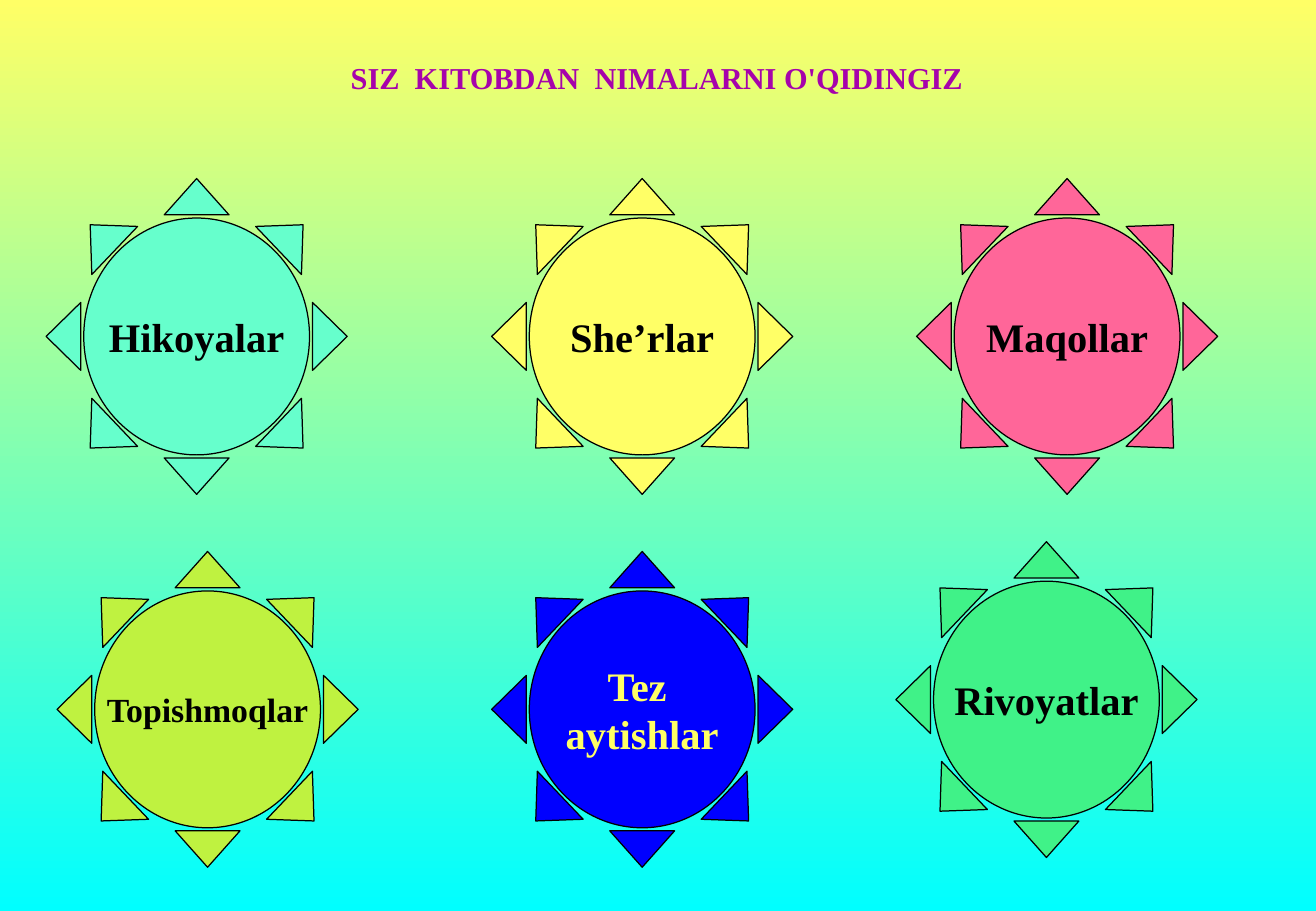
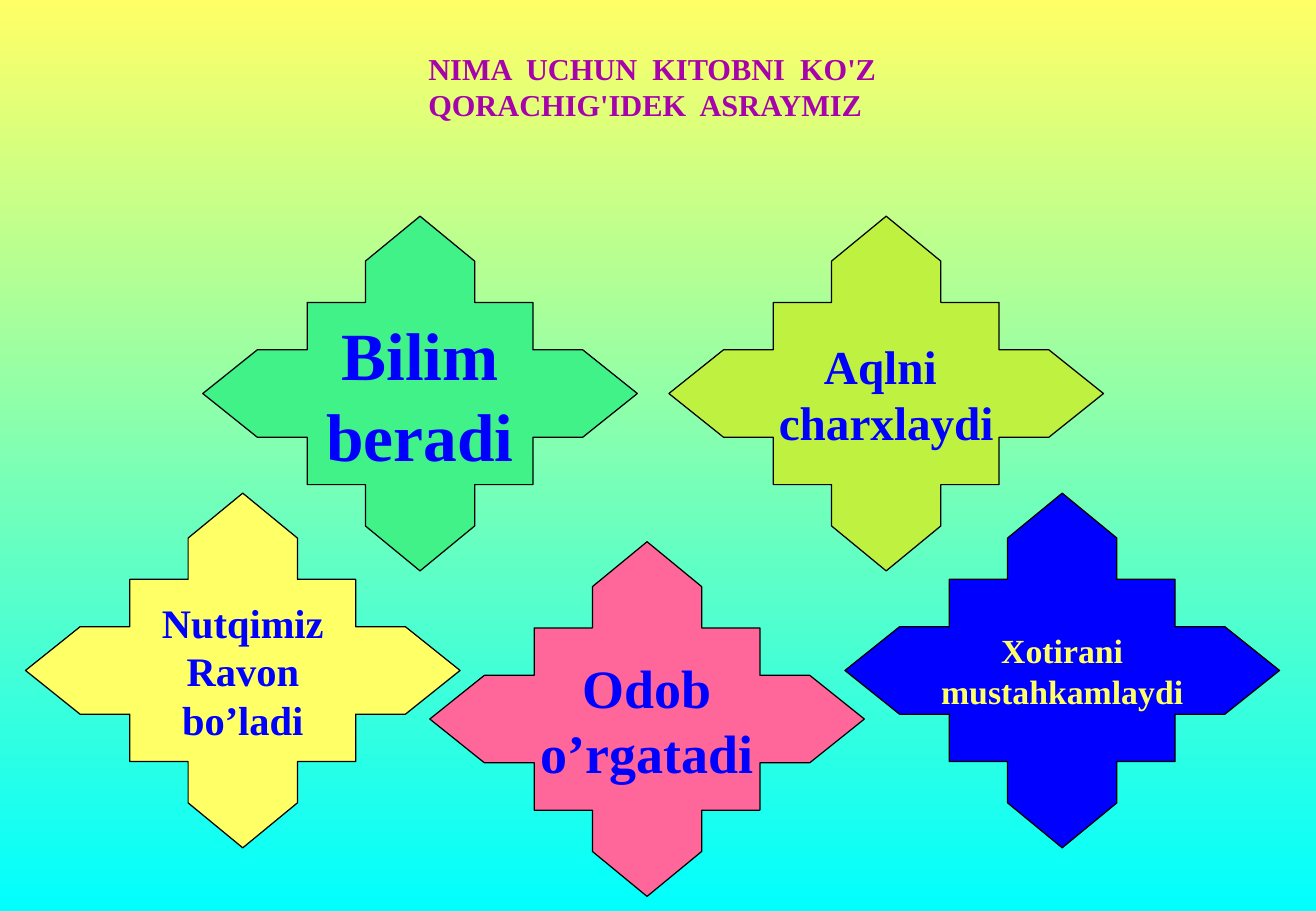
"""Build two slides of labelled suns and crosses on one shared gradient."""
from pptx import Presentation
from pptx.dml.color import RGBColor
from pptx.enum.shapes import MSO_SHAPE
from pptx.enum.text import MSO_ANCHOR, PP_ALIGN
from pptx.util import Inches, Pt

BLACK = RGBColor(0x00, 0x00, 0x00)
PURPLE = RGBColor(0xA6, 0x03, 0xAB)
YELLOW = RGBColor(0xFF, 0xFF, 0x66)
CYAN = RGBColor(0x00, 0xFF, 0xFF)
MINT = RGBColor(0x66, 0xFF, 0xCC)
GREEN = RGBColor(0x40, 0xF2, 0x88)
LIME = RGBColor(0xBF, 0xF2, 0x40)
BLUE = RGBColor(0x00, 0x00, 0xFF)
PINK = RGBColor(0xFF, 0x66, 0x99)

FONT = {"name": "Times New Roman", "bold": True}
FRAME = {"word_wrap": False,
         "margin_left": Inches(0.1), "margin_right": Inches(0.1),
         "margin_top": Inches(0.05), "margin_bottom": Inches(0.05)}

SUN_W, SUN_H = 2.48, 2.6
SUNS = [
    (0.38, 1.47, MINT, ["Hikoyalar"], 24, BLACK),
    (4.05, 1.47, YELLOW, ["She’rlar"], 24, BLACK),
    (7.38, 4.46, GREEN, ["Rivoyatlar"], 24, BLACK),
    (0.47, 4.54, LIME, ["Topishmoqlar"], 20, BLACK),
    (4.05, 4.54, BLUE, ["Tez ", "aytishlar"], 24, YELLOW),
    (7.55, 1.47, PINK, ["Maqollar"], 24, BLACK),
]

CORNER = [(0, -1.46), (0.45, -1.09), (0.45, -0.75), (0.93, -0.75),
          (0.93, -0.36), (1.34, -0.36), (1.79, 0)]
CROSSES = [
    (3.46, 3.24, GREEN, ["Bilim", "beradi"], 40, BLUE),
    (7.3, 3.24, LIME, ["Aqlni ", "charxlaydi"], 28, BLUE),
    (2.0, 5.52, YELLOW, ["Nutqimiz", "Ravon", "bo’ladi"], 24, BLUE),
    (5.33, 5.92, PINK, ["Odob", "o’rgatadi"], 32, BLUE),
    (8.75, 5.52, BLUE, ["Xotirani", "mustahkamlaydi"], 20, YELLOW),
]


def apply(target, values):
    """Set each named value on the target."""
    for name, value in values.items():
        setattr(target, name, value)


def write(shape, lines, size, color, align):
    """Put one paragraph per line into the shape."""
    frame = shape.text_frame
    apply(frame, FRAME)
    frame.text = "\n".join(lines)
    for para in frame.paragraphs:
        para.alignment = align
        font = para.runs[0].font
        apply(font, {**FONT, "size": Pt(size)})
        font.color.rgb = color


def paint(shape, fill, lines, size, color):
    """Fill, outline and label a shape."""
    shape.shadow.inherit = False
    shape.fill.solid()
    shape.fill.fore_color.rgb = fill
    shape.line.color.rgb = BLACK
    shape.line.width = Pt(0.75)
    shape.text_frame.vertical_anchor = MSO_ANCHOR.MIDDLE
    write(shape, lines, size, color, PP_ALIGN.CENTER)


def add_title(slide, box, lines):
    """Add the purple heading."""
    shape = slide.shapes.add_textbox(*map(Inches, box))
    write(shape, lines, 18, PURPLE, PP_ALIGN.LEFT)


def add_sun(slide, left, top, *look):
    """Add a labelled sun by its top left corner."""
    box = map(Inches, (left, top, SUN_W, SUN_H))
    sun = slide.shapes.add_shape(MSO_SHAPE.SUN, *box)
    sun.adjustments[0] = 0.125
    paint(sun, *look)


def add_cross(slide, mid_x, mid_y, *look):
    """Add a labelled cross, mirrored from one corner, by its centre."""
    right = CORNER + [(x, -y) for x, y in CORNER[-2::-1]]
    left = [(-x, y) for x, y in right[-2:0:-1]]
    points = [(Inches(x), Inches(y)) for x, y in right + left]
    pen = slide.shapes.build_freeform(*points[0])
    pen.add_line_segments(points[1:], close=True)
    paint(pen.convert_to_shape(Inches(mid_x), Inches(mid_y)), *look)


def set_ground(master):
    """Give all slides a gradient from yellow down to cyan."""
    fill = master.background.fill
    fill.gradient()
    fill.gradient_angle = 270
    for stop, color, place in zip(fill.gradient_stops, (YELLOW, CYAN), (0, 1)):
        stop.color.rgb = color
        stop.position = place


def main():
    """Build and save the deck."""
    deck = Presentation()
    apply(deck, {"slide_width": Inches(10.84), "slide_height": Inches(7.5)})
    set_ground(deck.slide_master)
    blank = deck.slide_layouts[6]

    slide = deck.slides.add_slide(blank)
    add_title(slide, (2.79, 0.44, 5.25, 0.71),
              ["SIZ  KITOBDAN  NIMALARNI O'QIDINGIZ"])
    for sun in SUNS:
        add_sun(slide, *sun)

    slide = deck.slides.add_slide(blank)
    add_title(slide, (3.43, 0.36, 3.89, 1.42),
              ["NIMA  UCHUN  KITOBNI  KO'Z", "QORACHIG'IDEK  ASRAYMIZ"])
    for cross in CROSSES:
        add_cross(slide, *cross)

    deck.save("out.pptx")


if __name__ == "__main__":
    main()
